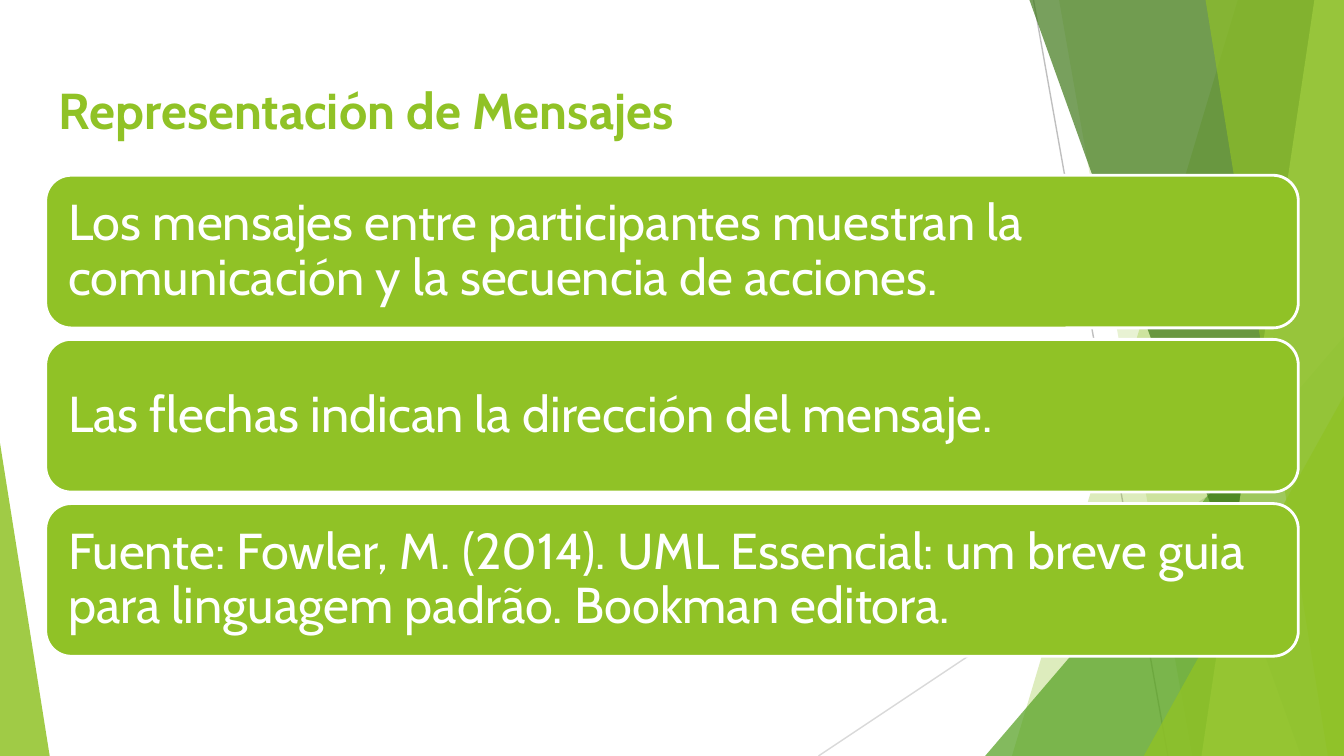
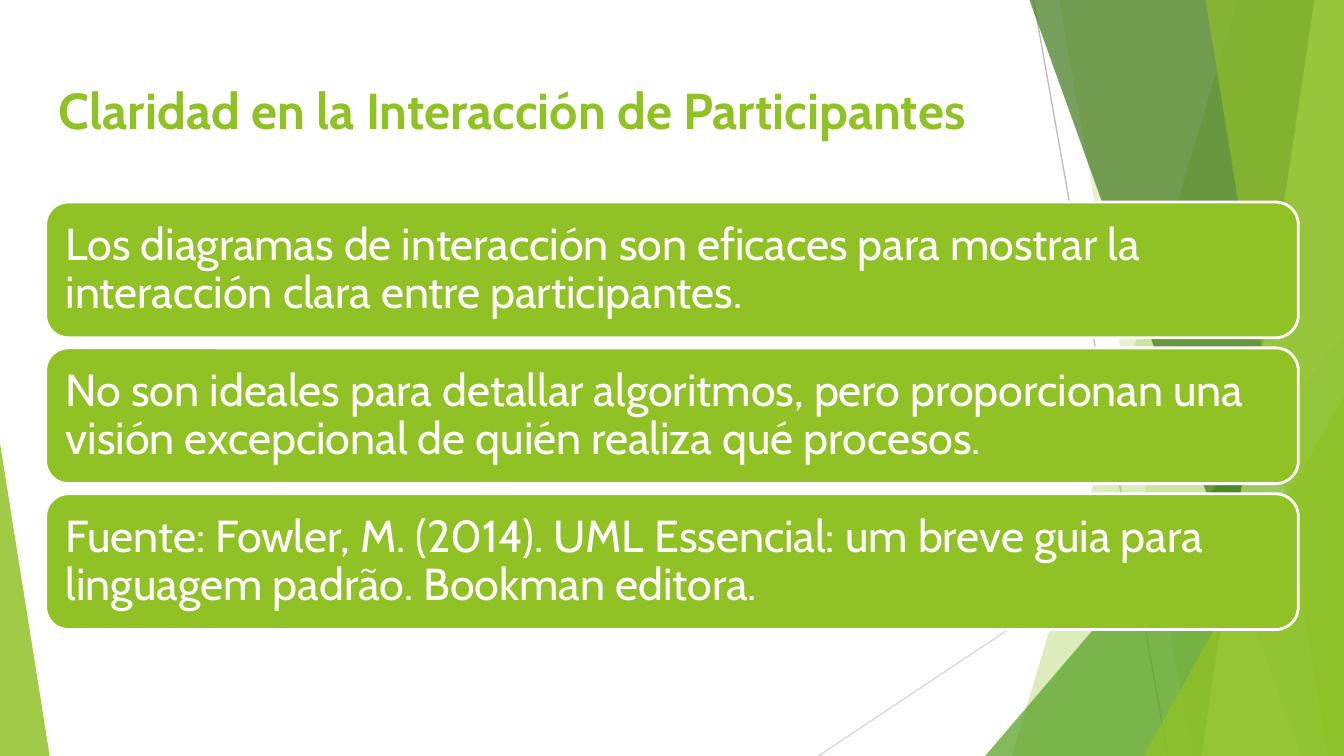
import lxml.etree
import pptx
import pptx.dml.color
import pptx.enum.shapes
import pptx.enum.text
import pptx.oxml.ns
import pptx.util

SLIDES = [
    {
        "title": "Representación de Mensajes",
        "size": 27,
        "cards": [
            "Los mensajes entre participantes muestran la comunicación y la secuencia de acciones.",
            "Las flechas indican la dirección del mensaje.",
            "Fuente: Fowler, M. (2014). UML Essencial: um breve guia para linguagem padrão. "
            "Bookman editora.",
        ],
    },
    {
        "title": "Claridad en la Interacción de Participantes",
        "size": 24,
        "cards": [
            "Los diagramas de interacción son eficaces para mostrar la interacción clara entre "
            "participantes.",
            "No son ideales para detallar algoritmos, pero proporcionan una visión excepcional de "
            "quién realiza qué procesos.",
            "Fuente: Fowler, M. (2014). UML Essencial: um breve guia para linguagem padrão. "
            "Bookman editora.",
        ],
    },
]

THEME = {
    "font": "Cabin",
    "title_size": 27,
    "hairline": 0.75,
    "outline": 1.5,
    "green": "90C226",
    "leaf": "54A021",
    "forest": "3F7819",
    "lime": "C0E474",
    "white": "FFFFFF",
    "grey": "BFBFBF",
    "pale_grey": "D9D9D9",
}

WIDTH, HEIGHT = 10, 5.625
MARGIN = 0.34
CONTENT_WIDTH = WIDTH - 2 * MARGIN
TITLE_TOP, TITLE_HEIGHT, TITLE_INSET = 0.49, 0.63, 0.1
STACK_MIDDLE = 0.55 * HEIGHT
# Card measures in ems of the card's own type size
CARD_EMS, INSET_EMS = 3.03, 0.3
GAP_SHARE = 0.075

# Start and end points, colour
HAIRLINES = [
    ((7.69, 0), (8.69, HEIGHT), "grey"),
    ((WIDTH, 3.02), (6.09, HEIGHT), "pale_grey"),
]
# Slabs reach the right edge: x at the top, x at the bottom
# Triangles stand on the bottom edge: left, width, height, apex share
FACETS = [
    ("slab", (9.21, 7.53), "green", 30),
    ("slab", (7.88, 8.87), "green", 20),
    ("triangle", (7.33, 2.67, 3.12, 1), "leaf", 72),
    ("slab", (7.66, 9.68), "forest", 70),
    ("slab", (9.78, 8.94), "lime", 70),
    ("slab", (8.97, 9.88), "green", 65),
    ("triangle", (8.51, 1.49, 2.68, 1), "green", 80),
    ("triangle", (0, 0.37, 2.33, 0), "green", 85),
]


def inches(*lengths):
    return [pptx.util.Inches(length) for length in lengths]


def colour(name):
    return pptx.dml.color.RGBColor.from_string(THEME[name])


def add_child(parent, tag, **attributes):
    return lxml.etree.SubElement(parent, pptx.oxml.ns.qn(tag), attributes)


def paint(shape, fill, opacity=100, line=None):
    shape.shadow.inherit = False
    shape.fill.solid()
    shape.fill.fore_color.rgb = colour(fill)
    if opacity < 100:
        solid = shape.fill._xPr.find(pptx.oxml.ns.qn("a:solidFill"))
        add_child(solid[0], "a:alpha", val=str(opacity * 1000))
    if line:
        shape.line.color.rgb = colour(line)
        shape.line.width = pptx.util.Pt(THEME["outline"])
    else:
        shape.line.fill.background()


def write(shape, text, size, ink, inset, anchor, bold=False):
    frame = shape.text_frame
    margins = dict.fromkeys(
        ("margin_left", "margin_top", "margin_right", "margin_bottom"),
        pptx.util.Inches(inset))
    for name, value in {"word_wrap": True, "vertical_anchor": anchor, **margins}.items():
        setattr(frame, name, value)
    paragraph = frame.paragraphs[0]
    paragraph.alignment = pptx.enum.text.PP_ALIGN.LEFT
    run = paragraph.add_run()
    run.text = text
    run.font.color.rgb = colour(ink)
    formats = {"name": THEME["font"], "size": pptx.util.Pt(size), "bold": bold}
    for name, value in formats.items():
        setattr(run.font, name, value)
    return paragraph


def add_hairline(slide, start, end, ink):
    connector = slide.shapes.add_connector(
        pptx.enum.shapes.MSO_CONNECTOR.STRAIGHT, *inches(*start, *end))
    connector.line.color.rgb = colour(ink)
    connector.line.width = pptx.util.Pt(THEME["hairline"])
    add_child(connector._element.spPr, "a:effectLst")


def add_slab(slide, top_x, bottom_x):
    corners = [inches(*corner) for corner in
               ((top_x, 0), (WIDTH, 0), (WIDTH, HEIGHT), (bottom_x, HEIGHT))]
    builder = slide.shapes.build_freeform(*corners[0])
    builder.add_line_segments(corners[1:], close=True)
    return builder.convert_to_shape()


def add_triangle(slide, left, width, height, apex):
    triangle = slide.shapes.add_shape(
        pptx.enum.shapes.MSO_SHAPE.ISOSCELES_TRIANGLE,
        *inches(left, HEIGHT - height, width, height))
    triangle.adjustments[0] = apex
    return triangle


def add_backdrop(slide):
    for hairline in HAIRLINES:
        add_hairline(slide, *hairline)
    makers = {"slab": add_slab, "triangle": add_triangle}
    for kind, geometry, fill, opacity in FACETS:
        paint(makers[kind](slide, *geometry), fill, opacity)


def add_title(slide, text):
    box = slide.shapes.add_textbox(*inches(MARGIN, TITLE_TOP, CONTENT_WIDTH, TITLE_HEIGHT))
    write(box, text, THEME["title_size"], "green", TITLE_INSET,
          pptx.enum.text.MSO_ANCHOR.TOP, bold=True)


def add_cards(slide, texts, size):
    """Stack equal cards around STACK_MIDDLE, scaled by the type size."""
    em = size / 72
    height = CARD_EMS * em
    gap = GAP_SHARE * height
    top = STACK_MIDDLE - (len(texts) * (height + gap) - gap) / 2
    for row, text in enumerate(texts):
        card = slide.shapes.add_shape(
            pptx.enum.shapes.MSO_SHAPE.ROUNDED_RECTANGLE,
            *inches(MARGIN, top + row * (height + gap), CONTENT_WIDTH, height))
        paint(card, "green", line="white")
        paragraph = write(card, text, size, "white", INSET_EMS * em,
                          pptx.enum.text.MSO_ANCHOR.MIDDLE)
        paragraph.line_spacing = 0.9
        space_after = add_child(paragraph._p.get_or_add_pPr(), "a:spcAft")
        add_child(space_after, "a:spcPct", val="35000")


def main():
    presentation = pptx.Presentation()
    presentation.slide_width, presentation.slide_height = inches(WIDTH, HEIGHT)
    for content in SLIDES:
        slide = presentation.slides.add_slide(presentation.slide_layouts[6])
        add_backdrop(slide)
        add_title(slide, content["title"])
        add_cards(slide, content["cards"], content["size"])
    presentation.save("out.pptx")


if __name__ == "__main__":
    main()
